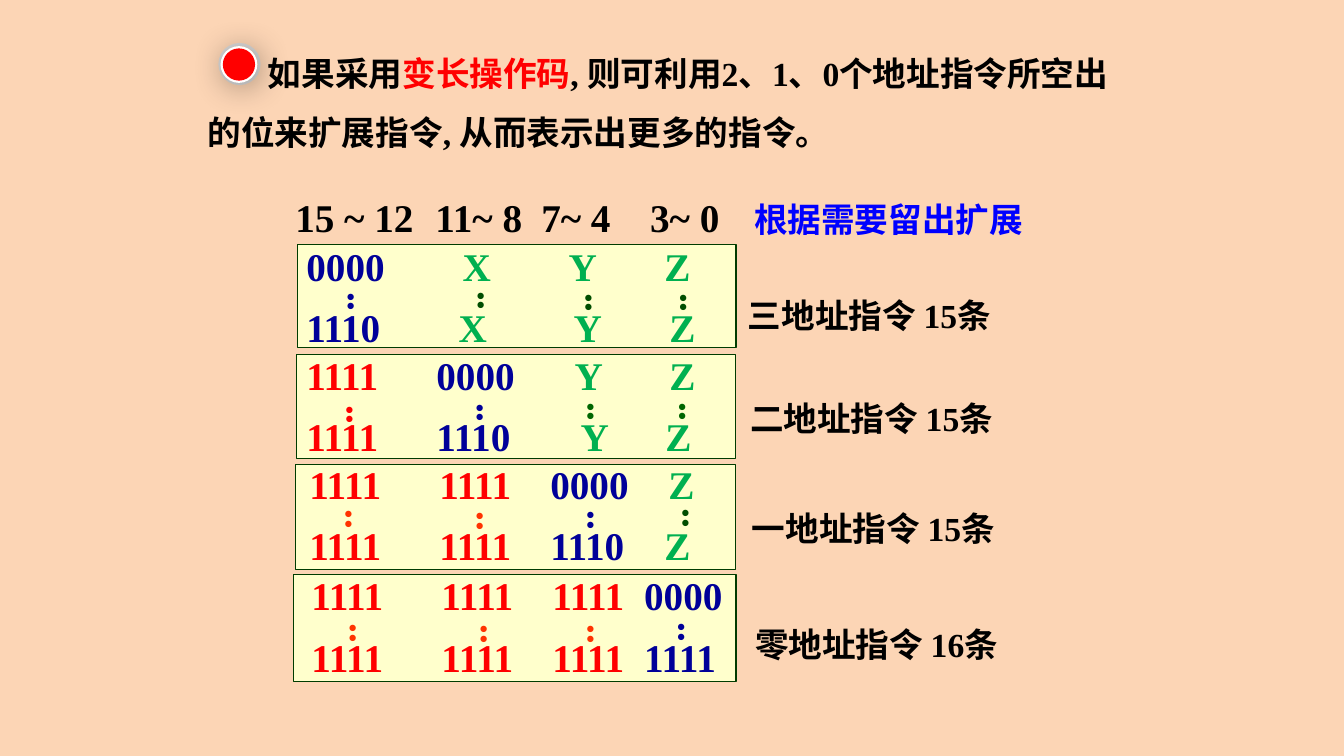
from typing import NamedTuple

from lxml import etree
from pptx import Presentation
from pptx.dml.color import RGBColor
from pptx.enum.shapes import MSO_SHAPE
from pptx.enum.text import MSO_AUTO_SIZE
from pptx.oxml.ns import qn
from pptx.shapes.autoshape import Shape
from pptx.util import Emu, Pt

RECTANGLE, OVAL = MSO_SHAPE.RECTANGLE, MSO_SHAPE.OVAL
GROW = MSO_AUTO_SIZE.SHAPE_TO_FIT_TEXT
PX = 9144  # 100 px to the inch
INSET = 10
LATIN, CHINESE = "Times New Roman", "Noto Sans CJK SC"

PEACH = RGBColor(0xFC, 0xD5, 0xB5)
CREAM = RGBColor(0xFF, 0xFF, 0xCC)
BORDER = RGBColor(0x00, 0x3C, 0x00)
BLACK = RGBColor(0x00, 0x00, 0x00)
WHITE = RGBColor(0xFF, 0xFF, 0xFF)
RED = RGBColor(0xFF, 0x00, 0x00)
ORANGE = RGBColor(0xFF, 0x33, 0x00)
BLUE = RGBColor(0x00, 0x00, 0xFF)
NAVY = RGBColor(0x00, 0x00, 0x99)
GREEN = RGBColor(0x00, 0xB0, 0x50)
DARK_GREEN = RGBColor(0x00, 0x4E, 0x00)
MID_GREEN = RGBColor(0x00, 0x66, 0x00)
RING_GRAY = RGBColor(0xD9, 0xD9, 0xD9)
PALE_TOP = RGBColor(0xF6, 0xF9, 0xFC)
PALE_BOTTOM = RGBColor(0xF2, 0xF2, 0xF2)


class Box(NamedTuple):
    left: int
    top: int
    width: int
    height: int


class Piece(NamedTuple):
    text: str
    color: RGBColor | None = None
    font: str | None = None


class Cell(NamedTuple):
    x: int
    text: str
    color: RGBColor


class Dots(NamedTuple):
    left: int
    top: int
    color: RGBColor


class Block(NamedTuple):
    frame: Box
    text_box: Box
    rows: list[list[Cell]]
    dots: list[Dots]
    line_spacing: float
    gap: int
    label_box: Box
    label: str
    count: str


def cells(xs: list[int], words: str, colors: list[RGBColor]) -> list[Cell]:
    return [Cell(*parts) for parts in zip(xs, words.split(), colors)]


def dots(lefts: list[int], tops: list[int], colors: list[RGBColor]) -> list[Dots]:
    return [Dots(*parts) for parts in zip(lefts, tops, colors)]


def emu(box: Box) -> list[Emu]:
    return [Emu(length * PX) for length in box]


def add_text(shapes, box: Box, wrap: bool = True) -> Shape:
    shape = shapes.add_textbox(*emu(box))
    shape.text_frame.word_wrap = wrap
    shape.text_frame.auto_size = GROW
    return shape


def write(paragraph, pieces: list[Piece], size: int, color: RGBColor) -> None:
    font = paragraph.font
    font.size, font.bold, font.name = Pt(size), True, LATIN
    font.color.rgb = color
    for piece in pieces:
        run = paragraph.add_run()
        run.text = piece.text
        if piece.color is not None:
            run.font.color.rgb = piece.color
        if piece.font:
            run.font.name = piece.font


def write_row(paragraph, left: int, row: list[Cell]) -> None:
    """Place each cell after the first at its own tab stop."""
    tabs = etree.SubElement(paragraph._p.get_or_add_pPr(), qn("a:tabLst"))
    for cell in row[1:]:
        position = (cell.x - left - INSET) * PX
        etree.SubElement(tabs, qn("a:tab"), pos=str(position), algn="l")
    pieces = [Piece(("\t" if index else "") + cell.text, cell.color)
              for index, cell in enumerate(row)]
    write(paragraph, pieces, 28, row[0].color)


def add_shape(shapes, kind, box: Box, fill: RGBColor | None,
              line: RGBColor | None, line_width: float = 0) -> Shape:
    shape = shapes.add_shape(kind, *emu(box))
    shape.shadow.inherit = False
    if fill is None:
        shape.fill.background()
    else:
        shape.fill.solid()
        shape.fill.fore_color.rgb = fill
    if line is None:
        shape.line.fill.background()
    else:
        shape.line.color.rgb = line
        shape.line.width = Pt(line_width)
    return shape


def add_block(slide, block: Block) -> None:
    group = slide.shapes.add_group_shape().shapes
    add_shape(group, RECTANGLE, block.frame, CREAM, BORDER, 0.75)
    frame = add_text(group, block.text_box).text_frame
    first, second = frame.paragraphs[0], frame.add_paragraph()
    first.line_spacing = block.line_spacing
    second.space_before = Pt(block.gap)
    for paragraph, row in zip((first, second), block.rows):
        write_row(paragraph, block.text_box.left, row)
    for mark in block.dots:
        frame = add_text(group, Box(mark.left, mark.top, 67, 40)).text_frame
        frame._txBody.bodyPr.set("vert", "eaVert")
        write(frame.paragraphs[0], [Piece("..")], 28, mark.color)
    label = add_text(slide.shapes, block.label_box).text_frame.paragraphs[0]
    write(label, [Piece(block.label + " ", font=CHINESE), Piece(block.count)], 24, BLACK)


def add_bullet(slide) -> None:
    group = slide.shapes.add_group_shape().shapes
    add_shape(group, OVAL, Box(218, 44, 39, 39), None, RING_GRAY, 2)
    disc = add_shape(group, OVAL, Box(220, 47, 34, 34), WHITE, WHITE, 1.75)
    disc.fill.gradient()
    disc.fill.gradient_angle = 270
    for stop, color in zip(disc.fill.gradient_stops, (PALE_TOP, PALE_BOTTOM)):
        stop.color.rgb = color
    effects = disc._element.spPr.find(qn("a:effectLst"))
    shadow = etree.SubElement(effects, qn("a:outerShdw"), blurRad=str(Pt(24)),
                              dist=str(Pt(3)), dir="2700000", rotWithShape="0")
    black = etree.SubElement(shadow, qn("a:srgbClr"), val=str(BLACK))
    etree.SubElement(black, qn("a:alpha"), val="39000")
    add_shape(group, OVAL, Box(221, 48, 32, 32), RED, None)


BLOCKS = [
    Block(Box(295, 243, 435, 102), Box(294, 239, 439, 113),
          [cells([304, 459, 564, 659], "0000 X Y Z", [NAVY] + [GREEN] * 3),
           cells([304, 455, 569, 664], "1110 X Y Z", [NAVY] + [GREEN] * 3)],
          dots([322, 451, 558, 652], [280, 279, 281, 281], [NAVY] + [DARK_GREEN] * 3),
          0.95, 9, Box(732, 288, 330, 50), "三地址指令", "15条"),
    Block(Box(294, 352, 436, 103), Box(294, 347, 444, 113),
          [cells([304, 433, 570, 664], "1111 0000 Y Z", [RED, NAVY, GREEN, GREEN]),
           cells([304, 433, 576, 660], "1111 1110 Y Z", [RED, NAVY, GREEN, GREEN])],
          dots([321, 450, 560, 651], [392, 390, 389, 389], [RED, NAVY, MID_GREEN, MID_GREEN]),
          0.95, 9, Box(734, 390, 338, 50), "二地址指令", "15条"),
    Block(Box(293, 461, 437, 104), Box(297, 455, 434, 113),
          [cells([307, 436, 546, 663], "1111 1111 0000 Z", [RED, RED, NAVY, GREEN]),
           cells([307, 436, 546, 659], "1111 1111 1110 Z", [RED, RED, NAVY, GREEN])],
          dots([320, 450, 560, 654], [496, 498, 497, 495], [ORANGE, ORANGE, NAVY, DARK_GREEN]),
          0.95, 9, Box(736, 499, 360, 50), "一地址指令", "15条"),
    Block(Box(291, 570, 439, 106), Box(299, 567, 438, 113),
          [cells([309, 438, 548, 639], "1111 1111 1111 0000", [RED] * 3 + [NAVY]),
           cells([309, 438, 548, 639], "1111 1111 1111 1111", [RED] * 3 + [NAVY])],
          dots([324, 454, 560, 650], [609, 610, 610, 608], [ORANGE] * 3 + [NAVY]),
          0.9, 10, Box(739, 614, 400, 50), "零地址指令", "16条"),
]


def main() -> None:
    presentation = Presentation()
    presentation.slide_width, presentation.slide_height = Emu(1333 * PX), Emu(750 * PX)
    slide = presentation.slides.add_slide(presentation.slide_layouts[6])
    slide.background.fill.solid()
    slide.background.fill.fore_color.rgb = PEACH

    # Opening statement
    intro = add_text(slide.shapes, Box(196, 29, 940, 123)).text_frame.paragraphs[0]
    intro._p.get_or_add_pPr().set("indent", str(60 * PX))
    intro.line_spacing = Pt(42)
    write(intro, [Piece("如果采用"), Piece("变长操作码", RED),
                  Piece(", 则可利用2、1、0个地址指令所空出的位来扩展指令, 从而表示出更多的指令。")],
          24, BLACK)

    # Bit ranges above the blocks
    header = [Cell(293, "15 ~ 12", BLACK), Cell(432, "11~ 8", BLACK),
              Cell(537, "7~ 4", BLACK), Cell(645, "3~ 0", BLACK)]
    for box, row in ((Box(422, 187, 328, 57), header[1:]),
                     (Box(283, 187, 139, 57), header[:1])):
        write_row(add_text(slide.shapes, box).text_frame.paragraphs[0], box.left, row)

    # Instruction formats with their labels
    for block in BLOCKS:
        add_block(slide, block)

    note = add_text(slide.shapes, Box(738, 192, 289, 50), wrap=False)
    write(note.text_frame.paragraphs[0], [Piece("根据需要留出扩展")], 24, BLUE)

    add_bullet(slide)
    presentation.save("out.pptx")


if __name__ == "__main__":
    main()
